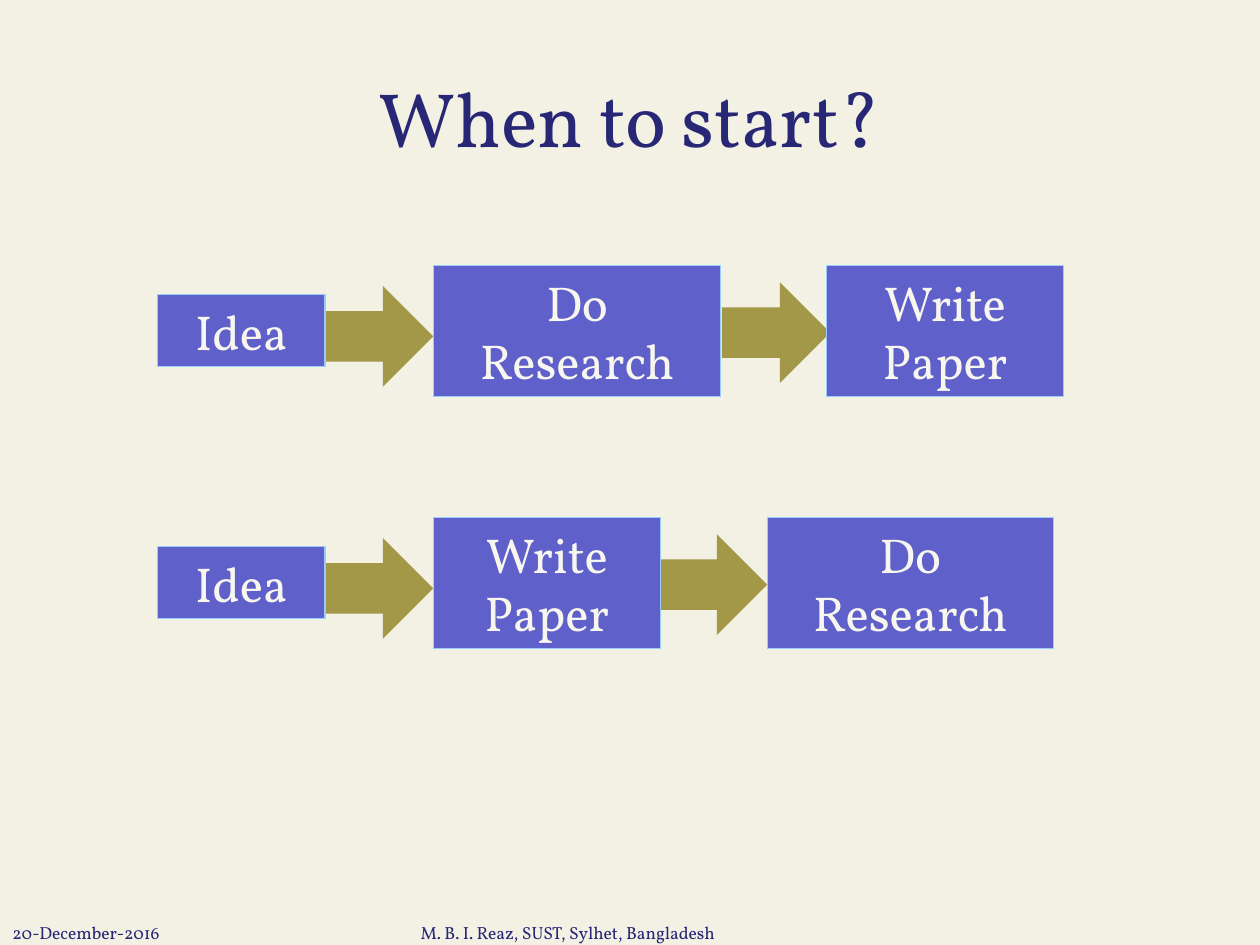
"""Build a slide comparing two orders of idea, research and paper writing."""
from lxml.etree import SubElement
from pptx import Presentation
from pptx.dml.color import RGBColor
from pptx.enum.shapes import MSO_SHAPE as Shape
from pptx.enum.text import MSO_ANCHOR as Anchor, MSO_AUTO_SIZE as AutoSize, PP_ALIGN as Align
from pptx.oxml.ns import qn
from pptx.util import Inches, Pt

BACKGROUND = RGBColor(0xF3, 0xF1, 0xE4)
NAVY = RGBColor(0x27, 0x27, 0x76)
BOX_FILL = RGBColor(0x60, 0x60, 0xCA)
BOX_LINE = RGBColor(0x99, 0xCC, 0xFF)
BOX_TEXT = RGBColor(0xF8, 0xF7, 0xEF)
ARROW_FILL = RGBColor(0xA3, 0x97, 0x48)


def style_text(frame, size, color, align):
    for para in frame.paragraphs:
        para.alignment = align
        for span in para.runs:
            span.font.name = "Vollkorn"
            span.font.size = Pt(size)
            span.font.color.rgb = color


def add_filled(group, kind, left, top, width, height, color):
    shape = group.shapes.add_shape(kind, Inches(left), Inches(top), Inches(width), Inches(height))
    shape.shadow.inherit = False
    shape.fill.solid()
    shape.fill.fore_color.rgb = color
    shape.line.fill.background()
    return shape


deck = Presentation()
deck.slide_width, deck.slide_height = Inches(10), Inches(7.5)
page = deck.slides.add_slide(deck.slide_layouts[5])
page.background.fill.solid()
page.background.fill.fore_color.rgb = BACKGROUND

title = page.shapes.title
title.left, title.top, title.width, title.height = Inches(0.5), Inches(0.3), Inches(9), Inches(1.25)
title.text_frame.text = "When to start?"
title.text_frame.vertical_anchor = Anchor.MIDDLE
style_text(title.text_frame, 44, NAVY, Align.CENTER)

sequences = [
    (2.11, [("Idea", 1.25, 0.23, 1.33, 0.57),
            ("Do Research", 3.44, 0, 2.28, 1.04),
            ("Write Paper", 6.56, 0, 1.88, 1.04)],
     [(2.58, 0.16), (5.73, 0.13)]),
    (4.11, [("Idea", 1.25, 0.23, 1.33, 0.57),
            ("Write\nPaper", 3.44, 0, 1.8, 1.04),
            ("Do\nResearch", 6.09, 0, 2.27, 1.04)],
     [(2.58, 0.16), (5.23, 0.13)]),
]
for top, steps, arrows in sequences:
    group = page.shapes.add_group_shape()
    for left, offset in arrows:
        add_filled(group, Shape.RIGHT_ARROW, left, top + offset, 0.86, 0.8, ARROW_FILL)
    for label, left, offset, width, height in steps:
        box = add_filled(group, Shape.RECTANGLE, left, top + offset, width, height, BOX_FILL)
        box.line.color.rgb = BOX_LINE
        box.line.width = Pt(0.75)
        frame = box.text_frame
        frame.text = label
        frame.word_wrap = True
        frame.auto_size = AutoSize.SHAPE_TO_FIT_TEXT
        frame.vertical_anchor = Anchor.TOP
        frame.margin_left = frame.margin_right = Inches(0.15)
        style_text(frame, 28, BOX_TEXT, Align.CENTER)

footer = page.shapes.add_textbox(Inches(0), Inches(7.27), Inches(10), Inches(0.21))
footer.text_frame.word_wrap = True
footer.text_frame.text = "20-December-2016\tM. B. I. Reaz, SUST, Sylhet, Bangladesh"
style_text(footer.text_frame, 10, NAVY, Align.LEFT)
properties = footer.text_frame.paragraphs[0]._p.get_or_add_pPr()
tab_stops = SubElement(properties, qn("a:tabLst"))
SubElement(tab_stops, qn("a:tab"), pos=str(Inches(3.24)), algn="l")

deck.save("out.pptx")
